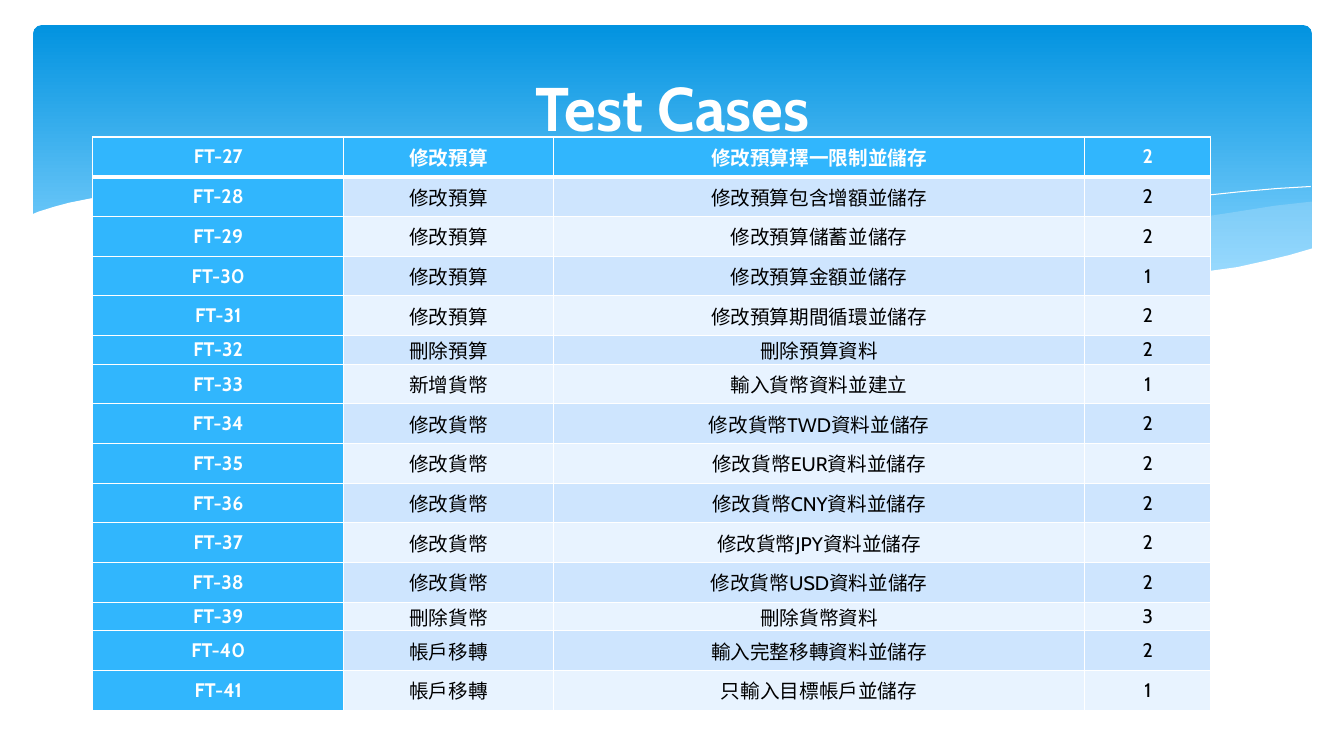
import pptx
import pptx.dml.color
import pptx.enum.dml
import pptx.enum.shapes
import pptx.enum.text
import pptx.oxml
import pptx.oxml.ns
import pptx.util

Inches, Pt = pptx.util.Inches, pptx.util.Pt
RGBColor = pptx.dml.color.RGBColor
PP_ALIGN, MSO_ANCHOR = pptx.enum.text.PP_ALIGN, pptx.enum.text.MSO_ANCHOR

# Content
TITLE = "Test Cases"
CASES = [
    ("FT-27", "修改預算", "修改預算擇一限制並儲存", "2"),
    ("FT-28", "修改預算", "修改預算包含增額並儲存", "2"),
    ("FT-29", "修改預算", "修改預算儲蓄並儲存", "2"),
    ("FT-30", "修改預算", "修改預算金額並儲存", "1"),
    ("FT-31", "修改預算", "修改預算期間循環並儲存", "2"),
    ("FT-32", "刪除預算", "刪除預算資料", "2"),
    ("FT-33", "新增貨幣", "輸入貨幣資料並建立", "1"),
    ("FT-34", "修改貨幣", "修改貨幣TWD資料並儲存", "2"),
    ("FT-35", "修改貨幣", "修改貨幣EUR資料並儲存", "2"),
    ("FT-36", "修改貨幣", "修改貨幣CNY資料並儲存", "2"),
    ("FT-37", "修改貨幣", "修改貨幣JPY資料並儲存", "2"),
    ("FT-38", "修改貨幣", "修改貨幣USD資料並儲存", "2"),
    ("FT-39", "刪除貨幣", "刪除貨幣資料", "3"),
    ("FT-40", "帳戶移轉", "輸入完整移轉資料並儲存", "2"),
    ("FT-41", "帳戶移轉", "只輸入目標帳戶並儲存", "1"),
]
SHORT_ROWS = ("FT-32", "FT-39")
COL_WIDTHS = (2.49, 2.08, 5.27, 1.25)
TABLE_LEFT, TABLE_TOP, TABLE_HEIGHT, SHORT_HEIGHT = 0.92, 1.36, 5.64, 0.26

# Colours
WHITE = RGBColor(0xFF, 0xFF, 0xFF)
BLACK = RGBColor(0x00, 0x00, 0x00)
SKY_TOP = RGBColor(0x02, 0x93, 0xE0)
SKY_BOTTOM = RGBColor(0x83, 0xD3, 0xFE)
MIST = RGBColor(0xC6, 0xE7, 0xFC)
HEADER = RGBColor(0x31, 0xB6, 0xFD)
BANDS = (RGBColor(0xE8, 0xF3, 0xFF), RGBColor(0xCE, 0xE5, 0xFE))

# Waves as outline points in inches, back to front
RIGHT_WAVE = [
    (13.01, 2), (12.65, 2.04), (12.27, 2.1), (11.88, 2.16), (11.47, 2.23), (10.73, 2.37),
    (10.05, 2.48), (9.41, 2.57), (8.82, 2.65), (9.21, 2.69), (9.58, 2.72), (9.93, 2.75),
    (10.25, 2.77), (10.71, 2.78), (11.13, 2.77), (11.51, 2.75), (11.86, 2.72),
    (12.18, 2.67), (12.47, 2.62), (12.66, 2.57), (12.84, 2.52), (13.01, 2.47)]
MIDDLE_WAVE = [
    (11.9, 2.73), (11.54, 2.69), (11.16, 2.65), (10.76, 2.6), (10.34, 2.54), (9.89, 2.47),
    (9.41, 2.4), (8.91, 2.31), (8.39, 2.22), (7.98, 2.14), (7.59, 2.08), (7.21, 2.03),
    (6.86, 1.98), (6.52, 1.94), (6.19, 1.91), (5.6, 1.87), (5.06, 1.85), (4.59, 1.86),
    (4.18, 1.88), (3.82, 1.91), (4.31, 1.96), (4.83, 2.03), (5.39, 2.11), (5.99, 2.22),
    (6.54, 2.32), (7.06, 2.4), (7.55, 2.48), (8.02, 2.55), (8.46, 2.61), (8.87, 2.66),
    (9.26, 2.7), (9.63, 2.74), (9.98, 2.76), (10.46, 2.78), (11.04, 2.78), (11.43, 2.77)]
LONG_LINE = [
    (4.12, 1.95), (4.38, 1.92), (4.7, 1.89), (5.16, 1.87), (5.77, 1.87), (6.25, 1.89),
    (6.8, 1.92), (7.42, 1.97), (8.11, 2.04), (8.86, 2.13), (9.7, 2.26), (10.6, 2.41),
    (11.58, 2.61), (12.1, 2.72)]
RISING_LINE = [
    (8.18, 2.57), (8.7, 2.46), (9.27, 2.35), (9.97, 2.23), (10.75, 2.1), (11.55, 1.99),
    (11.94, 1.94), (12.32, 1.9), (12.67, 1.87), (13, 1.85)]
WHITE_WAVE = [
    (13.03, 2.46), (12.79, 2.53), (12.54, 2.59), (12.27, 2.65), (11.98, 2.69),
    (11.67, 2.73), (11.34, 2.75), (10.97, 2.77), (10.58, 2.76), (10.15, 2.75),
    (9.69, 2.72), (9.18, 2.68), (8.63, 2.62), (8.04, 2.54), (7.4, 2.45), (6.71, 2.33),
    (5.96, 2.2), (5.21, 2.07), (4.53, 1.97), (3.9, 1.9), (3.33, 1.86), (2.82, 1.84),
    (2.14, 1.84), (1.76, 1.86), (1.42, 1.89), (1.13, 1.93), (0.89, 1.97), (0.69, 2.01),
    (0.54, 2.05), (0.38, 2.1), (0.31, 2.13), (0.31, 3.29), (13.03, 3.29)]
WAVES = [  # points, fill, opacity in percent
    (RIGHT_WAVE, MIST, 29), (MIDDLE_WAVE, MIST, 40),
    (LONG_LINE, None, 100), (RISING_LINE, None, 100), (WHITE_WAVE, WHITE, 100)]


def set_attrs(obj, values):
    for name, value in values.items():
        setattr(obj, name, value)


def write(tf, text, size, color, bold):
    p = tf.paragraphs[0]
    p.alignment = PP_ALIGN.CENTER
    r = p.add_run()
    r.text = text
    set_attrs(r.font, {"name": "Cabin", "size": Pt(size), "bold": bold})
    r.font.color.rgb = color


def add_wave(s, points, fill, opacity):
    corners = [(Inches(x), Inches(y)) for x, y in points]
    builder = s.shapes.build_freeform(*corners[0])
    builder.add_line_segments(corners[1:], close=fill is not None)
    sp = builder.convert_to_shape()
    sp.shadow.inherit = False
    if fill is None:
        sp.fill.background()
        sp.line.color.rgb = WHITE
        sp.line.width = Pt(0)
        return
    sp.line.fill.background()
    sp.fill.solid()
    sp.fill.fore_color.rgb = fill
    if opacity < 100:
        clr = next(sp.fill._xPr.iter(pptx.oxml.ns.qn("a:srgbClr")))
        alpha = pptx.oxml.ns.qn("a:alpha")
        clr.append(clr.makeelement(alpha, {"val": str(opacity * 1000)}))


def add_borders(cell, widths):
    """Draw white cell borders; widths in points by side."""
    for i, (side, width) in enumerate(widths.items()):
        cell._tc.get_or_add_tcPr().insert(i, pptx.oxml.parse_xml(
            f'<a:ln{side} {pptx.oxml.ns.nsdecls("a")} w="{Pt(width)}">'
            f'<a:solidFill><a:srgbClr val="{WHITE}"/></a:solidFill></a:ln{side}>'))


prs = pptx.Presentation()
set_attrs(prs, {"slide_width": Inches(13.33), "slide_height": Inches(7.5)})
s = prs.slides.add_slide(prs.slide_layouts[5])

# Sky panel
sp = s.shapes.add_shape(pptx.enum.shapes.MSO_SHAPE.ROUNDED_RECTANGLE,
                        Inches(0.33), Inches(0.25), Inches(12.68), Inches(2.7))
sp.adjustments[0] = 0.03
sp.shadow.inherit = False
sp.line.fill.background()
sp.fill.gradient()
sp.fill.gradient_angle = 270
for stop, (position, color) in zip(sp.fill.gradient_stops, [(0, SKY_TOP), (0.9, SKY_BOTTOM)]):
    stop.position = position
    stop.color.rgb = color

# Waves
for wave in WAVES:
    add_wave(s, *wave)

# Test case table
table = s.shapes.add_table(len(CASES), len(COL_WIDTHS), Inches(TABLE_LEFT), Inches(TABLE_TOP),
                           Inches(sum(COL_WIDTHS)), Inches(TABLE_HEIGHT)).table
for column, width in zip(table.columns, COL_WIDTHS):
    column.width = Inches(width)
tall_height = (TABLE_HEIGHT - SHORT_HEIGHT * len(SHORT_ROWS)) / (len(CASES) - len(SHORT_ROWS))
for i, case in enumerate(CASES):
    table.rows[i].height = Inches(SHORT_HEIGHT if case[0] in SHORT_ROWS else tall_height)
    for j, text in enumerate(case):
        cell = table.cell(i, j)
        heading = i == 0 or j == 0
        set_attrs(cell, {"vertical_anchor": MSO_ANCHOR.MIDDLE,
                         "margin_left": Inches(0.01), "margin_right": Inches(0.01),
                         "margin_top": 0, "margin_bottom": 0})
        cell.fill.solid()
        cell.fill.fore_color.rgb = HEADER if heading else BANDS[i % 2]
        write(cell.text_frame, text, 14, WHITE if heading else BLACK, heading)
        add_borders(cell, {"L": 1, "R": 1, "T": 3 if i == 1 else 1, "B": 3 if i == 0 else 1})

# Title, in front of the sky panel
title = s.shapes.title
set_attrs(title, {"left": Inches(0.67), "top": Inches(0.37),
                  "width": Inches(12), "height": Inches(1.37)})
set_attrs(title.text_frame, {"vertical_anchor": MSO_ANCHOR.MIDDLE, "word_wrap": True,
                             "auto_size": pptx.enum.text.MSO_AUTO_SIZE.NONE})
write(title.text_frame, TITLE, 44, WHITE, True)
s.shapes._spTree.append(title._element)

prs.save("out.pptx")
